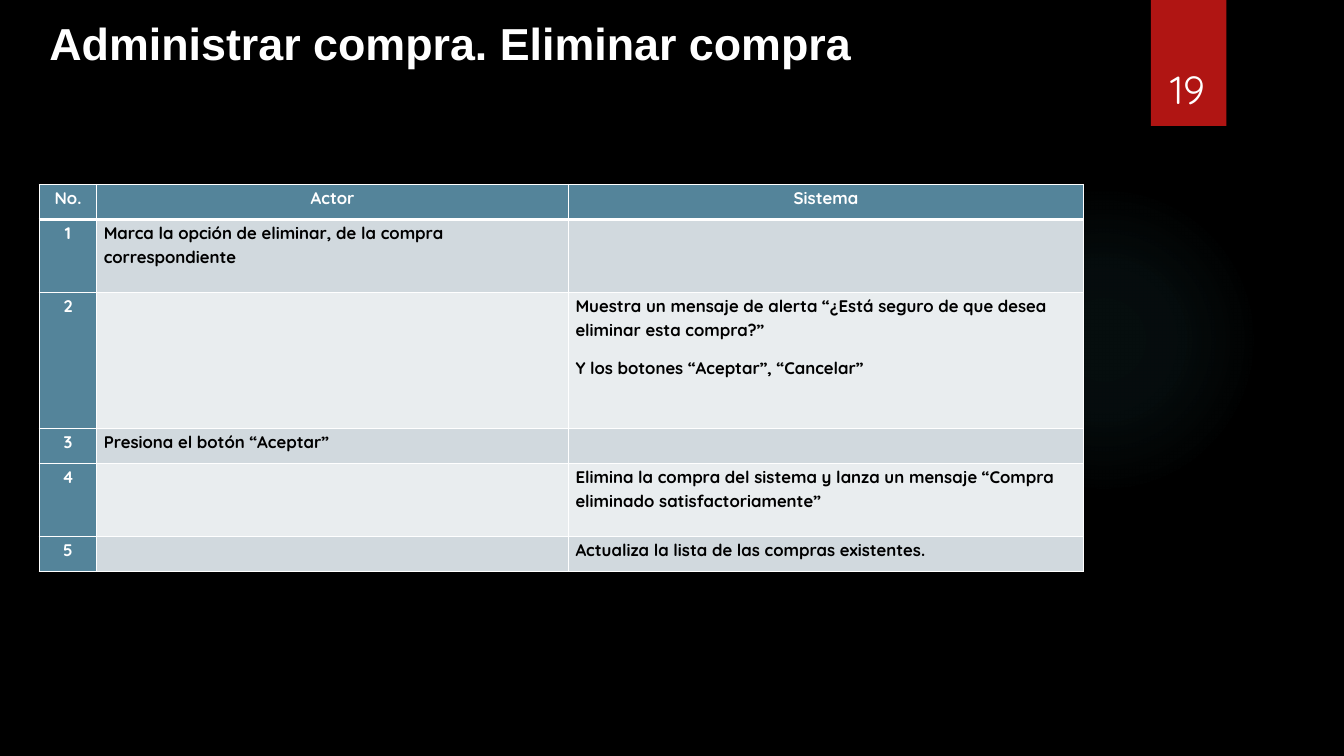
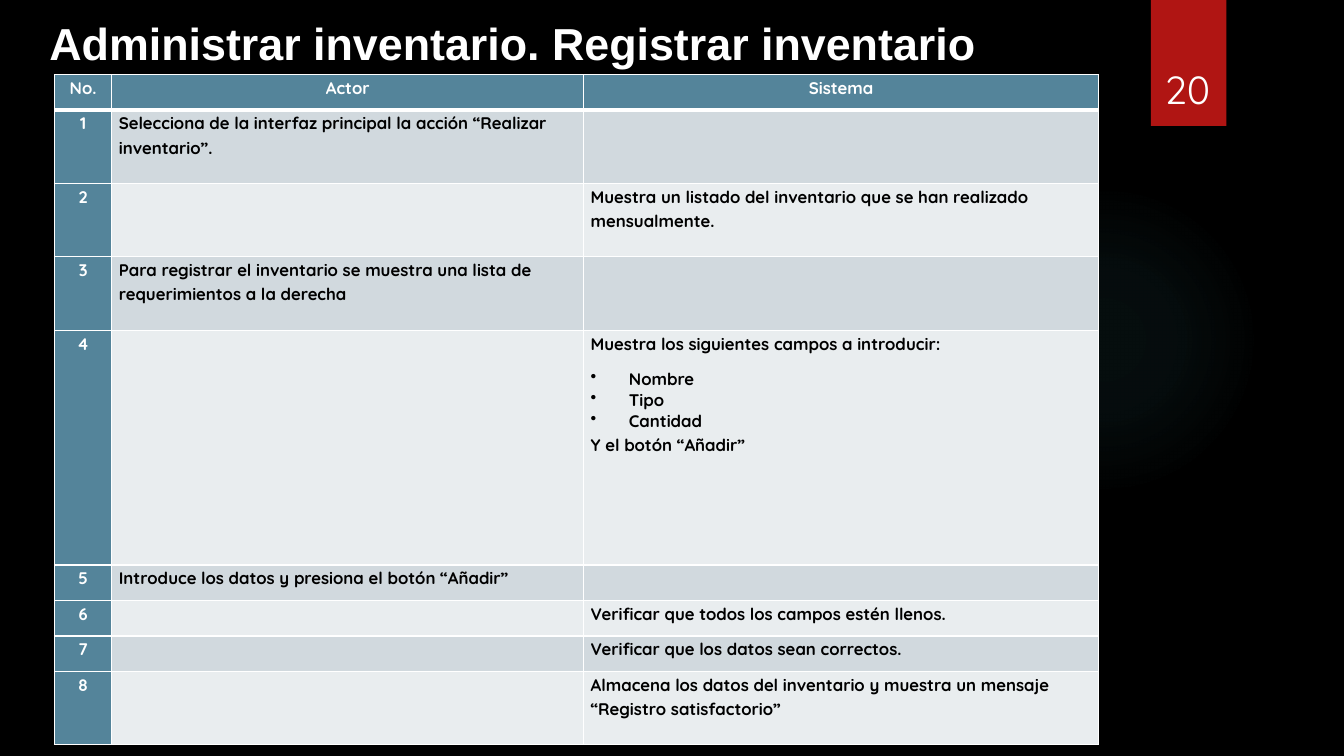
from pptx import Presentation
from pptx import util as u
from pptx.dml.color import RGBColor
from pptx.enum import shapes, text
from pptx.oxml import parse_xml
from pptx.oxml.ns import nsdecls

COLORS = {
    "back": "000000",
    "ink": "000000",
    "light": "FFFFFF",
    "accent": "B01513",
    "glow": "50B9C1",
    "head": "54849A",
    "odd": "D1D9DE",
    "even": "E9EDEF",
}
TITLE_FONT, BODY_FONT = "Arial", "Quicksand"
WIDTH, HEIGHT = u.Inches(13.33), u.Inches(7.5)
COLS, ROWS = 160, 90
GLOW = (112.92, 21.96, 36.96, 36.96)
BAND = (137, 0, 9, 15)
NUMBER = (135.84, 3.84, 11.04, 10.08)
TABLE_COLS = (57, 468, 511)
HEADINGS = ("No.", "Actor", "Sistema")
LINE, DOUBLE = 4.2, 8.7

SLIDES = [
    {
        "number": "19",
        "title": "Administrar compra. Eliminar compra",
        "title_box": (4.68, 1.2, 104.16, 7.68),
        "table_box": (4.68, 21.96, 124.32, 46.08),
        "steps": [
            (DOUBLE, ["Marca la opción de eliminar, de la compra correspondiente"], []),
            (16.32, [], [
                "Muestra un mensaje de alerta “¿Está seguro de que desea eliminar esta compra?”",
                "Y los botones “Aceptar”, “Cancelar”",
            ]),
            (LINE, ["Presiona el botón “Aceptar”"], []),
            (DOUBLE, [], [
                "Elimina la compra del sistema y lanza un mensaje “Compra eliminado satisfactoriamente”",
            ]),
            (LINE, [], ["Actualiza la lista de las compras existentes."]),
        ],
    },
    {
        "number": "20",
        "title": "Administrar inventario. Registrar inventario",
        "title_box": (4.68, 1.2, 113.88, 7.68),
        "table_box": (6.48, 8.88, 124.32, 79.8),
        "steps": [
            (DOUBLE, ["Selecciona de la interfaz principal la acción “Realizar inventario”."], []),
            (DOUBLE, [], ["Muestra un listado del inventario que se han realizado mensualmente."]),
            (DOUBLE, [
                "Para registrar el inventario se muestra una lista de requerimientos a la derecha",
            ], []),
            (27.84, [], [
                "Muestra los siguientes campos a introducir:",
                "• Nombre",
                "• Tipo",
                "• Cantidad",
                "Y el botón “Añadir”",
            ]),
            (LINE, ["Introduce los datos y presiona el botón “Añadir”"], []),
            (LINE, [], ["Verificar que todos los campos estén llenos."]),
            (LINE, [], ["Verificar que los datos sean correctos."]),
            (DOUBLE, [], [
                "Almacena los datos del inventario y muestra un mensaje “Registro satisfactorio”",
            ]),
        ],
    },
]


def color(name):
    return RGBColor.from_string(COLORS[name])


def place(box):
    x, y, w, h = box
    return (round(x * WIDTH / COLS), round(y * HEIGHT / ROWS),
            round(w * WIDTH / COLS), round(h * HEIGHT / ROWS))


def style(p, size, font, ink, bold=False):
    for r in p.runs:
        r.font.size = u.Pt(size)
        r.font.name = font
        r.font.bold = bold
        r.font.color.rgb = color(ink)


def add_plain(slide, kind, box, fill):
    sp = slide.shapes.add_shape(kind, *place(box))
    sp.shadow.inherit = False
    sp.fill.solid()
    sp.fill.fore_color.rgb = color(fill)
    sp.line.fill.background()
    return sp


def add_glow(slide, box):
    sp = add_plain(slide, shapes.MSO_SHAPE.OVAL, box, "glow")
    stops = "".join(
        f'<a:gs pos="{pos * 1000}"><a:srgbClr val="{COLORS["glow"]}">'
        f'<a:alpha val="{alpha * 1000}"/></a:srgbClr></a:gs>'
        for pos, alpha in ((0, 7), (36, 6), (69, 0), (100, 0)))
    grad = parse_xml(
        f'<a:gradFill {nsdecls("a")} rotWithShape="1"><a:gsLst>{stops}</a:gsLst>'
        '<a:path path="circle"><a:fillToRect l="50000" t="50000" r="50000" b="50000"/>'
        '</a:path></a:gradFill>')
    solid = sp.fill._xPr.find("{*}solidFill")
    solid.getparent().replace(solid, grad)


def add_number(slide, box, number):
    tf = slide.shapes.add_textbox(*place(box)).text_frame
    tf.word_wrap = True
    tf.vertical_anchor = text.MSO_ANCHOR.BOTTOM
    p = tf.paragraphs[0]
    p.text = number
    p.alignment = text.PP_ALIGN.CENTER
    style(p, 28, BODY_FONT, "light")


def set_title(slide, box, title):
    sp = slide.shapes.title
    sp.left, sp.top, sp.width, sp.height = place(box)
    tf = sp.text_frame
    tf.text = title
    tf.word_wrap = True
    tf.auto_size = text.MSO_AUTO_SIZE.NONE
    tf.vertical_anchor = text.MSO_ANCHOR.MIDDLE
    p = tf.paragraphs[0]
    p.alignment = text.PP_ALIGN.LEFT
    style(p, 32, TITLE_FONT, "light", bold=True)


def set_borders(cell, top, bottom):
    widths = (("lnL", 1), ("lnR", 1), ("lnT", top), ("lnB", bottom))
    tcPr = cell._tc.get_or_add_tcPr()
    for i, (tag, width) in enumerate(widths):
        tcPr.insert(i, parse_xml(
            f'<a:{tag} {nsdecls("a")} w="{u.Pt(width)}"><a:solidFill>'
            f'<a:srgbClr val="{COLORS["light"]}"/></a:solidFill></a:{tag}>'))


def set_bullet(p):
    pPr = p._p.get_or_add_pPr()
    pPr.set("marL", str(u.Inches(0.38)))
    pPr.set("indent", str(-u.Inches(0.38)))
    pPr.append(parse_xml(f'<a:buChar {nsdecls("a")} char="•"/>'))


def fill_cell(cell, lines, fill, ink, align):
    cell.margin_left = cell.margin_right = u.Inches(0.07)
    cell.margin_top = cell.margin_bottom = 0
    cell.fill.solid()
    cell.fill.fore_color.rgb = color(fill)
    tf = cell.text_frame
    for i, line in enumerate(lines):
        p = tf.add_paragraph() if i else tf.paragraphs[0]
        p.text = line.removeprefix("• ")
        p.alignment = align
        if line.startswith("• "):
            set_bullet(p)
        else:
            p.line_spacing = 1.15
            p.space_after = u.Pt(10)
        style(p, 12, BODY_FONT, ink, bold=True)


def add_steps(slide, box, steps):
    x, y, w, h = place(box)
    rows = [(LINE, *([name] for name in HEADINGS))]
    rows += [(size, [str(n)], actor, system)
             for n, (size, actor, system) in enumerate(steps, 1)]
    tbl = slide.shapes.add_table(len(rows), len(HEADINGS), x, y, w, h).table
    for col, share in zip(tbl.columns, TABLE_COLS):
        col.width = round(w * share / sum(TABLE_COLS))
    total = sum(row[0] for row in rows)
    for r, (size, *cells) in enumerate(rows):
        tbl.rows[r].height = round(h * size / total)
        for c, lines in enumerate(cells):
            cell = tbl.cell(r, c)
            if r == 0 or c == 0:
                fill_cell(cell, lines, "head", "light", text.PP_ALIGN.CENTER)
            else:
                fill_cell(cell, lines, "odd" if r % 2 else "even", "ink",
                          text.PP_ALIGN.LEFT)
            set_borders(cell, 3 if r == 1 else 1, 3 if r == 0 else 1)


def add_steps_slide(prs, number, title, title_box, table_box, steps):
    slide = prs.slides.add_slide(prs.slide_layouts[5])
    add_glow(slide, GLOW)
    add_plain(slide, shapes.MSO_SHAPE.RECTANGLE, BAND, "accent")
    add_number(slide, NUMBER, number)
    set_title(slide, title_box, title)
    add_steps(slide, table_box, steps)


def main():
    prs = Presentation()
    prs.slide_width, prs.slide_height = WIDTH, HEIGHT
    back = prs.slide_master.background.fill
    back.solid()
    back.fore_color.rgb = color("back")
    for content in SLIDES:
        add_steps_slide(prs, **content)
    prs.save("out.pptx")


if __name__ == "__main__":
    main()
